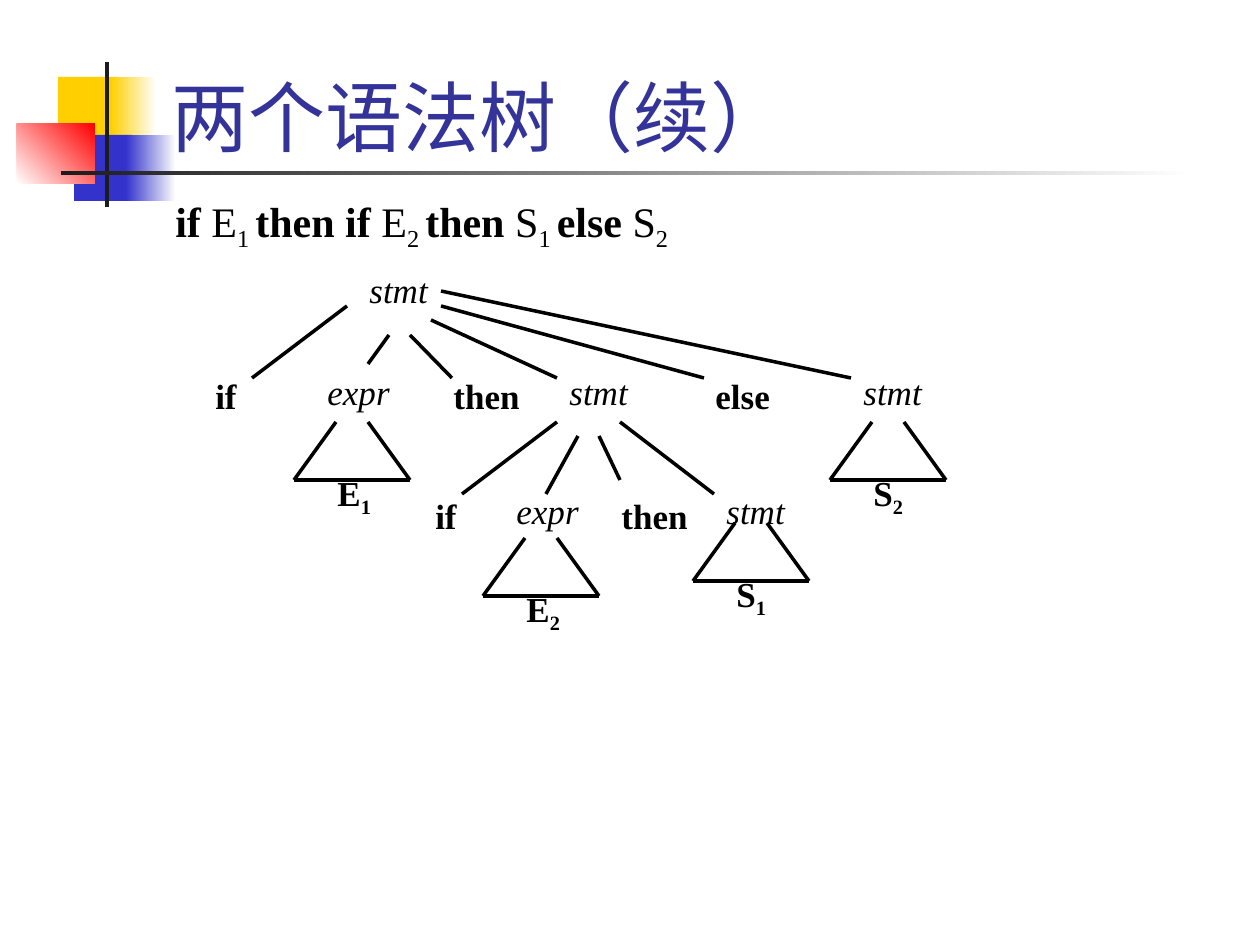
"""Build a slide showing the parse tree of a nested if-then-else statement."""
from dataclasses import dataclass
from typing import Any

import pptx
import pptx.dml.color
import pptx.enum.shapes
import pptx.enum.text
import pptx.oxml.ns
import pptx.util

EMU_PER_PX = 914400 / 126
ANCHOR = pptx.enum.text.MSO_ANCHOR
AUTO_SIZE = pptx.enum.text.MSO_AUTO_SIZE
ALIGN = pptx.enum.text.PP_ALIGN


@dataclass(frozen=True)
class Theme:
    font: str = "Times New Roman"
    ink: str = "000000"
    title: str = "333399"
    yellow: str = "FFCF01"
    blue: str = "3333CC"
    red: str = "FF0000"
    bar: str = "1C1C1C"
    white: str = "FFFFFF"
    title_size: int = 44
    body_size: int = 24
    node_size: int = 20
    line_width: int = 2


@dataclass(frozen=True)
class Block:
    left: int
    top: int
    width: int
    height: int
    start: str
    end: str = ""
    angle: int = 0


@dataclass(frozen=True)
class Span:
    text: str
    bold: bool = False
    italic: bool = False
    subscript: bool = False


@dataclass(frozen=True)
class Label:
    left: int
    top: int
    width: int
    height: int
    spans: tuple[Span, ...]
    size: int
    color: str
    frame: dict[str, Any]
    para: dict[str, Any]


@dataclass(frozen=True)
class Edge:
    x1: int
    y1: int
    x2: int
    y2: int


@dataclass(frozen=True)
class Subtree:
    left: int
    top: int
    letter: str
    index: str


THEME = Theme()
BLOCKS = (
    Block(58, 77, 60, 66, THEME.yellow),
    Block(111, 77, 45, 66, THEME.yellow, THEME.white),
    Block(74, 135, 58, 66, THEME.blue),
    Block(126, 135, 50, 66, THEME.blue, THEME.white),
    Block(17, 124, 78, 60, THEME.white, THEME.red, 45),
    Block(105, 62, 4, 145, THEME.bar),
    Block(61, 171, 1134, 4, THEME.bar, THEME.white),
)
NONTERMINALS = (
    (357, 262, "stmt"),
    (315, 364, "expr"), (557, 364, "stmt"), (851, 364, "stmt"),
    (504, 483, "expr"), (714, 483, "stmt"),
)
KEYWORDS = (
    (179, 368, "if"), (441, 368, "then"), (703, 368, "else"),
    (399, 488, "if"), (609, 488, "then"),
)
EDGES = (
    Edge(347, 306, 252, 378), Edge(389, 335, 368, 364),
    Edge(410, 335, 452, 378), Edge(431, 320, 557, 378),
    Edge(441, 306, 704, 378), Edge(441, 291, 851, 378),
    Edge(557, 422, 462, 494), Edge(578, 436, 546, 494),
    Edge(599, 436, 620, 480), Edge(620, 422, 714, 494),
)
SUBTREES = (
    Subtree(336, 422, "E", "1"), Subtree(872, 422, "S", "2"),
    Subtree(525, 538, "E", "2"), Subtree(735, 523, "S", "1"),
)
STATEMENT = (
    ("if", " E", "1 "), ("then if", " E", "2 "),
    ("then", " S", "1 "), ("else", " S", "2"),
)
NODE_FRAME = {"word_wrap": True, "auto_size": AUTO_SIZE.SHAPE_TO_FIT_TEXT}


def px(length: int) -> pptx.util.Emu:
    return pptx.util.Emu(round(length * EMU_PER_PX))


def rgb(code: str) -> pptx.dml.color.RGBColor:
    return pptx.dml.color.RGBColor.from_string(code)


def apply(target: Any, values: dict[str, Any]) -> None:
    for name, value in values.items():
        setattr(target, name, value)


def draw_block(shapes: Any, block: Block) -> None:
    kind = pptx.enum.shapes.MSO_SHAPE.RECTANGLE
    shape = shapes.add_shape(kind, px(block.left), px(block.top), px(block.width), px(block.height))
    shape.shadow.inherit = False
    shape.line.fill.background()
    if block.end:
        shape.fill.gradient()
        shape.fill.gradient_angle = block.angle
        for stop, color in zip(shape.fill.gradient_stops, (block.start, block.end)):
            apply(stop.color, {"rgb": rgb(color)})
    else:
        shape.fill.solid()
        shape.fill.fore_color.rgb = rgb(block.start)


def draw_label(shapes: Any, label: Label) -> None:
    box = shapes.add_textbox(px(label.left), px(label.top), px(label.width), px(label.height))
    apply(box.text_frame, label.frame)
    para = box.text_frame.paragraphs[0]
    apply(para, label.para)
    for part in label.spans:
        span = para.add_run()
        span.text = part.text
        apply(span.font, {
            "name": THEME.font, "size": pptx.util.Pt(label.size),
            "bold": part.bold, "italic": part.italic,
        })
        span.font.color.rgb = rgb(label.color)
        if part.subscript:
            span._r.get_or_add_rPr().set("baseline", "-25000")


def draw_node(shapes: Any, left: int, top: int, width: int, height: int,
              spans: tuple[Span, ...], align: Any = ALIGN.LEFT) -> None:
    para = {"space_before": pptx.util.Pt(12.5), "alignment": align}
    draw_label(shapes, Label(left, top, width, height, spans, THEME.node_size,
                             THEME.ink, NODE_FRAME, para))


def draw_edge(shapes: Any, edge: Edge) -> None:
    kind = pptx.enum.shapes.MSO_CONNECTOR.STRAIGHT
    line = shapes.add_connector(kind, px(edge.x1), px(edge.y1), px(edge.x2), px(edge.y2))
    line.line.width = pptx.util.Pt(THEME.line_width)
    line.line.color.rgb = rgb(THEME.ink)
    effects = pptx.oxml.ns.qn("a:effectLst")
    line._element.spPr.append(line._element.makeelement(effects, {}))


def draw_subtree(shapes: Any, tree: Subtree) -> None:
    group = shapes.add_group_shape().shapes
    base_left, base_right, base = tree.left - 42, tree.left + 74, tree.top + 58
    draw_edge(group, Edge(tree.left, tree.top, base_left, base))
    draw_edge(group, Edge(tree.left + 32, tree.top, base_right, base))
    draw_edge(group, Edge(base_left, base, base_right, base))
    spans = (Span(tree.letter, bold=True), Span(tree.index, bold=True, subscript=True))
    draw_node(group, tree.left - 11, tree.top + 43, 63, 60, spans)


def main() -> None:
    deck = pptx.Presentation()
    apply(deck, {"slide_width": px(1260), "slide_height": px(945)})
    page = deck.slides.add_slide(deck.slide_layouts[6])
    shapes = page.shapes
    for block in BLOCKS:
        draw_block(shapes, block)
    draw_label(shapes, Label(159, 10, 1074, 158, (Span("两个语法树（续）"),), THEME.title_size,
                             THEME.title, {"word_wrap": True, "vertical_anchor": ANCHOR.BOTTOM}, {}))
    for left, top, text in NONTERMINALS:
        draw_node(shapes, left, top, 94, 55, (Span(text, italic=True),))
    for left, top, text in KEYWORDS:
        align = ALIGN.CENTER if text == "if" else ALIGN.LEFT
        draw_node(shapes, left, top, 94, 55, (Span(text, bold=True),), align)
    for edge in EDGES:
        draw_edge(shapes, edge)
    for tree in SUBTREES:
        draw_subtree(shapes, tree)
    spans = tuple(span for keyword, symbol, index in STATEMENT for span in (
        Span(keyword, bold=True), Span(symbol), Span(index, subscript=True)))
    draw_label(shapes, Label(163, 189, 1071, 105, spans, THEME.body_size, THEME.ink,
                             {"word_wrap": True}, {"space_before": pptx.util.Pt(6)}))
    deck.save("out.pptx")


if __name__ == "__main__":
    main()
